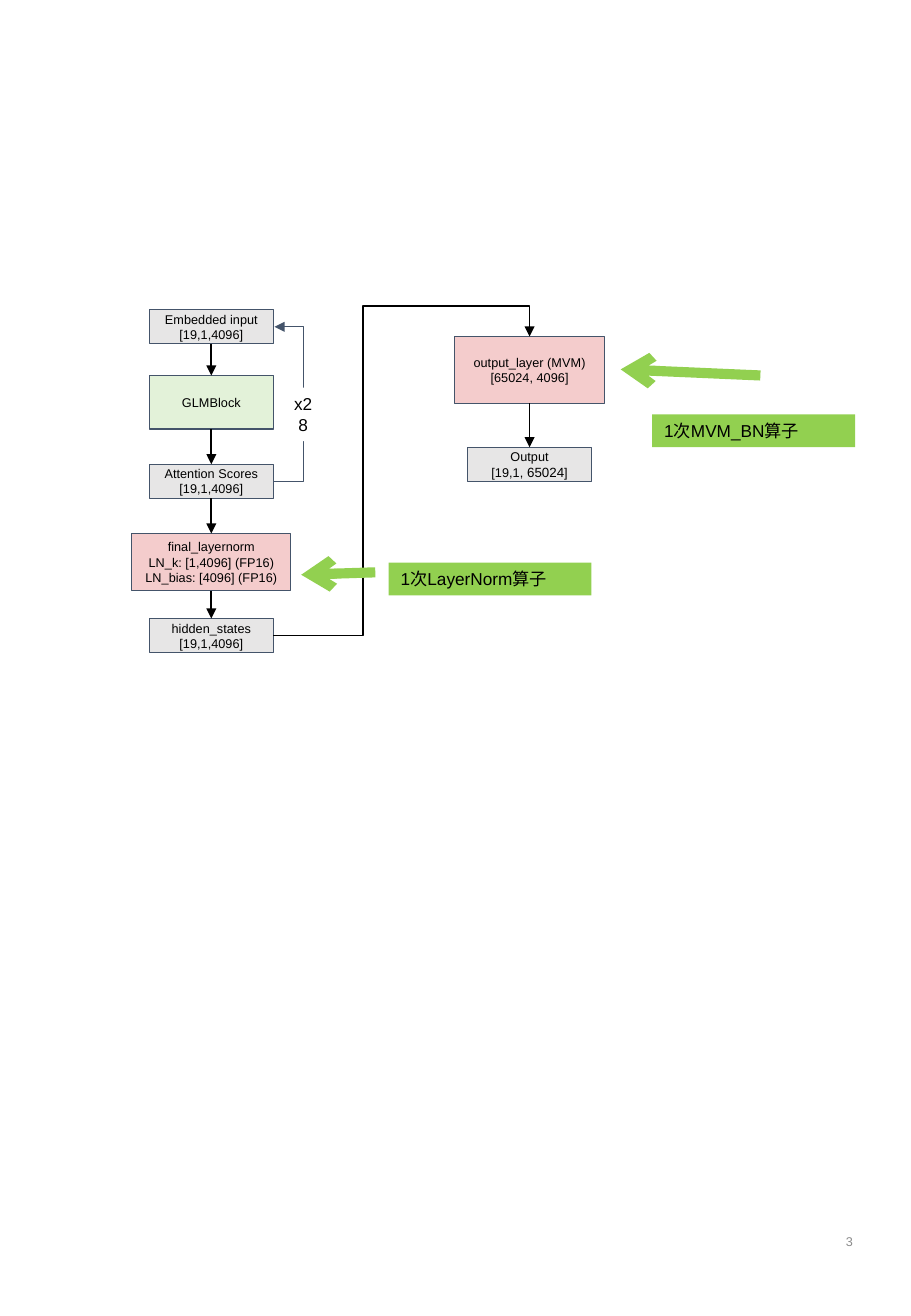
import pptx
import pptx.util
import pptx.dml.color
import pptx.enum.shapes
import pptx.enum.text
import pptx.oxml
import pptx.oxml.ns
from dataclasses import dataclass

Inches = pptx.util.Inches
Align = pptx.enum.text.PP_ALIGN
Anchor = pptx.enum.text.MSO_ANCHOR
Link = pptx.enum.shapes.MSO_CONNECTOR


@dataclass(frozen=True)
class Theme:
    font: str = "Arial"
    ink: str = "000000"
    edge: str = "44546A"
    data: str = "E7E6E6"
    block: str = "E3F2D9"
    layer: str = "F4CCCC"
    note: str = "92D050"
    paper: str = "FFFFFF"
    mute: str = "8C8C8C"
    small: float = 7.5
    odd: float = 7.9
    large: float = 10.2


theme = Theme()
LEFT, RIGHT = 1.74, 4.36
SHAPE = "[19,1,4096]"
BOXES = {
    "input": (LEFT, 2.55, 1.02, 0.28, theme.data, ["Embedded input", SHAPE]),
    "block": (LEFT, 3.09, 1.02, 0.44, theme.block, ["GLMBlock"]),
    "scores": (LEFT, 3.82, 1.02, 0.28, theme.data, ["Attention Scores", SHAPE]),
    "norm": (LEFT, 4.39, 1.31, 0.47, theme.layer,
             ["final_layernorm", "LN_k: [1,4096] (FP16)", "LN_bias: [4096] (FP16)"]),
    "hidden": (LEFT, 5.09, 1.02, 0.28, theme.data, ["hidden_states", SHAPE]),
    "layer": (RIGHT, 2.77, 1.24, 0.55, theme.layer, ["output_layer (MVM)", "[65024, 4096]"]),
    "output": (RIGHT, 3.68, 1.02, 0.28, theme.data,
               ["Output", [("[19,1,", theme.small), (" 65024", theme.odd), ("]", theme.small)]]),
}
FLOWS = [["input", "block", "scores", "norm", "hidden"], ["layer", "output"]]
NOTES = [
    ("1次MVM_BN算子", (5.37, 3.41), (6.26, 3.09, 5.11, 3.04)),
    ("1次LayerNorm算子", (3.2, 4.63), (3.09, 4.71, 2.48, 4.73)),
]
LOOP_X, LANE_X, LANE_Y = 2.5, 2.99, 2.52


def color(code):
    return pptx.dml.color.RGBColor.from_string(code)


def write(shape, lines, size=theme.small, ink=theme.ink, align=Align.CENTER,
          anchor=Anchor.TOP, inset=None, grow=False):
    frame = shape.text_frame
    frame.word_wrap = True
    frame.vertical_anchor = anchor
    if grow:
        frame.auto_size = pptx.enum.text.MSO_AUTO_SIZE.SHAPE_TO_FIT_TEXT
    if inset is not None:
        for side in ("left", "top", "right", "bottom"):
            setattr(frame, f"margin_{side}", Inches(inset))
    for i, line in enumerate(lines):
        para = frame.add_paragraph() if i else frame.paragraphs[0]
        para.alignment = align
        for text, points in [(line, size)] if isinstance(line, str) else line:
            run = para.add_run()
            run.text = text
            run.font.name = theme.font
            run.font.size = pptx.util.Pt(points)
            run.font.color.rgb = color(ink)


def box(slide, mid, top, width, height, fill, lines):
    shape = slide.shapes.add_shape(
        pptx.enum.shapes.MSO_SHAPE.RECTANGLE,
        Inches(mid - width / 2), Inches(top), Inches(width), Inches(height))
    shape.shadow.inherit = False
    shape.fill.solid()
    shape.fill.fore_color.rgb = color(fill)
    shape.line.color.rgb = color(theme.edge)
    shape.line.width = pptx.util.Pt(0.75)
    write(shape, lines, anchor=Anchor.MIDDLE, inset=0.07)
    return shape


def label(slide, left, top, width, height, text, fill=None, **style):
    shape = slide.shapes.add_textbox(
        Inches(left), Inches(top), Inches(width), Inches(height))
    if fill:
        shape.fill.solid()
        shape.fill.fore_color.rgb = color(fill)
    write(shape, [text], **style)


def arrow(slide, ends=(0, 0, 0, 0), kind=Link.STRAIGHT, ink=theme.ink, weight=1, head="triangle"):
    line = slide.shapes.add_connector(kind, *map(Inches, ends))
    line.line.color.rgb = color(ink)
    line.line.width = pptx.util.Pt(weight)
    tip = pptx.oxml.parse_xml(f'<a:tailEnd {pptx.oxml.ns.nsdecls("a")} type="{head}"/>')
    line.line._get_or_add_ln().append(tip)
    line._element.spPr.append(
        pptx.oxml.parse_xml(f'<a:effectLst {pptx.oxml.ns.nsdecls("a")}/>'))
    return line


def join(line, start, out, end, into):
    line.begin_connect(start, out)
    line.end_connect(end, into)


def bend(line, preset, *ratios):
    geom = line._element.spPr.find(pptx.oxml.ns.qn("a:prstGeom"))
    geom.set("prst", preset)
    guides = geom.get_or_add_avLst()
    for i, ratio in enumerate(ratios, 1):
        guides.append(pptx.oxml.parse_xml(
            f'<a:gd {pptx.oxml.ns.nsdecls("a")} name="adj{i}" fmla="val {round(ratio * 100000)}"/>'))


def main():
    deck = pptx.Presentation()
    deck.slide_width, deck.slide_height = Inches(7.5), Inches(10.83)
    slide = deck.slides.add_slide(deck.slide_layouts[6])
    boxes = {name: box(slide, *item) for name, item in BOXES.items()}

    for flow in FLOWS:
        for start, end in zip(flow, flow[1:]):
            join(arrow(slide), boxes[start], 2, boxes[end], 0)

    loop = arrow(slide, kind=Link.ELBOW, ink=theme.edge, weight=0.75)
    join(loop, boxes["scores"], 3, boxes["input"], 3)
    loop.end_x = loop.begin_x + Inches(0.01)
    bend(loop, "bentConnector3", (Inches(LOOP_X) - loop.begin_x) / loop.width)
    label(slide, 2.32, 3.19, 0.35, 0.44, "x28", theme.paper, size=theme.large, grow=True)

    lane = arrow(slide, kind=Link.ELBOW)
    join(lane, boxes["hidden"], 3, boxes["layer"], 0)
    bend(lane, "bentConnector4", (Inches(LANE_X) - lane.begin_x) / lane.width,
         (lane.begin_y - Inches(LANE_Y)) / lane.height)

    for text, spot, ends in NOTES:
        label(slide, *spot, 1.67, 0.27, text, theme.note,
              size=theme.large, align=Align.LEFT, grow=True)
        arrow(slide, ends, ink=theme.note, weight=6, head="arrow")

    label(slide, 5.46, 9.97, 1.66, 0.5, "3", ink=theme.mute,
          align=Align.RIGHT, anchor=Anchor.MIDDLE)
    deck.save("out.pptx")


if __name__ == "__main__":
    main()
